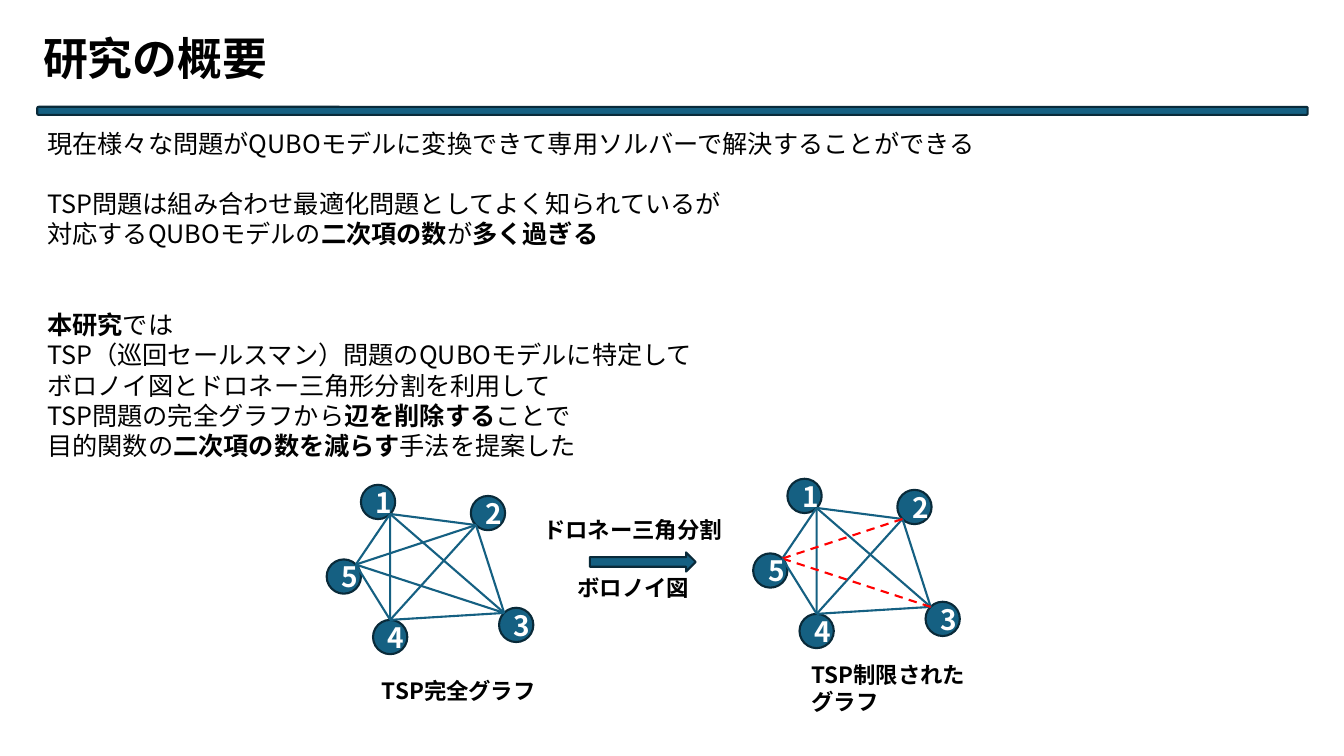
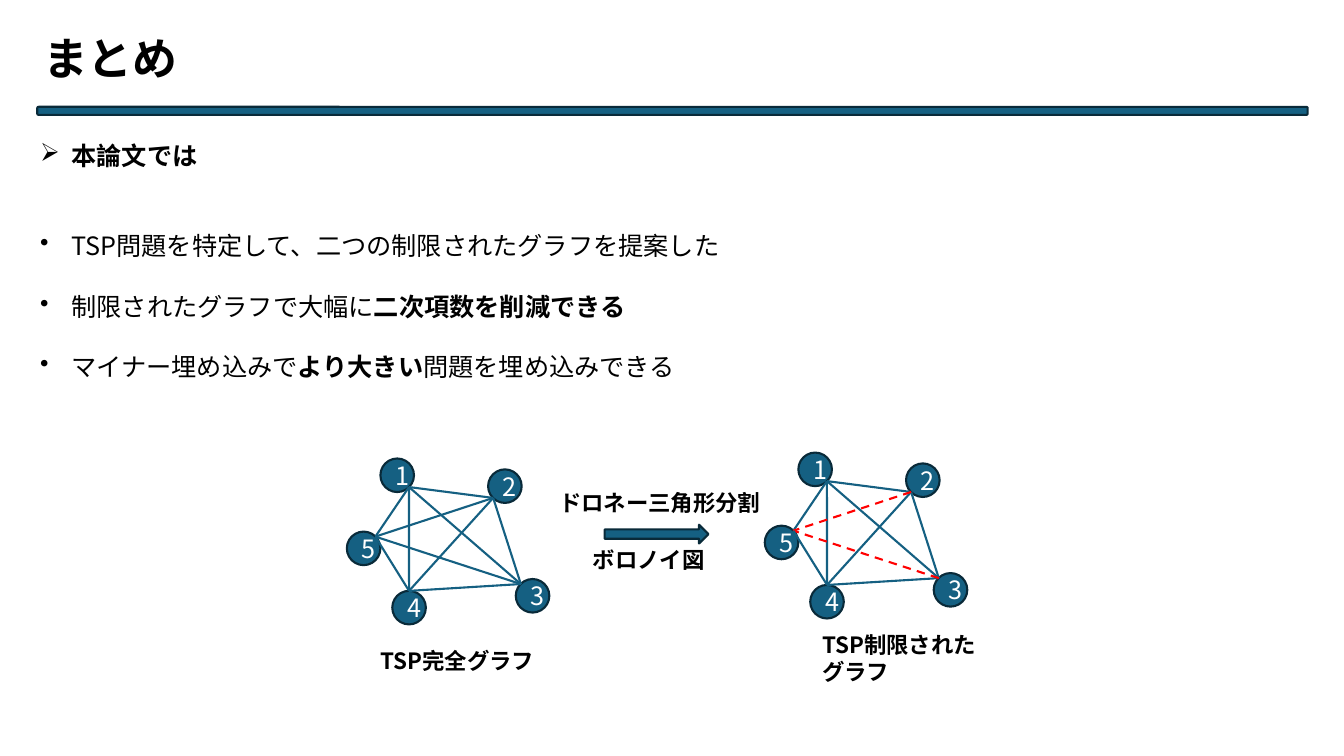
"""Builds two slides on restricting the TSP graph to shrink its QUBO model."""
from dataclasses import dataclass
from itertools import combinations

from lxml import etree
from pptx import Presentation
from pptx.dml.color import RGBColor
from pptx.enum.dml import MSO_LINE_DASH_STYLE as DASH
from pptx.enum.shapes import MSO_CONNECTOR as CONN, MSO_SHAPE as SHAPE
from pptx.enum.text import PP_ALIGN as ALIGN
from pptx.oxml.ns import qn
from pptx.util import Inches, Pt


@dataclass(frozen=True)
class Theme:
    font: str = "Noto Sans CJK SC"
    ink: str = "000000"
    white: str = "FFFFFF"
    fill: str = "156082"
    edge: str = "092A39"
    removed: str = "FF0000"
    title: int = 32
    body: int = 18
    label: int = 16
    stroke: float = 1.5
    leading: float = 1.2


DIAMETER = 0.34
NODES = {
    1: (0.34, 0),
    2: (1.43, 0.11),
    3: (1.71, 1.22),
    4: (0.46, 1.34),
    5: (0, 0.74),
}
ANCHORS = {
    1: (0.85, 0.85),
    2: (0.15, 0.85),
    3: (0.15, 0.15),
    4: (0.5, 0),
    5: (0.85, 0.15),
}
REMOVED_EDGES = {(2, 5), (3, 5)}


class Deck:
    def __init__(self, theme):
        self.t = theme
        self.prs = Presentation()
        self.prs.slide_width = Inches(13.33)
        self.prs.slide_height = Inches(7.5)
        self.shapes = None

    def slide(self, title):
        s = self.prs.slides.add_slide(self.prs.slide_layouts[6])
        self.shapes = s.shapes
        self.text(0.33, 0.26, 5.34, 0.64, [(f"*{title}*", 0, None)], self.t.title)
        self.shape(SHAPE.ROUNDED_RECTANGLE, 0.37, 1.06, 12.6, 0.08)

    def style(self, r, size, color, bold):
        r.font.size = Pt(size)
        r.font.bold = bold
        r.font.color.rgb = RGBColor.from_string(color)
        r.font.name = self.t.font
        etree.SubElement(r.font._element, qn("a:ea")).set("typeface", self.t.font)

    def text(self, x, y, w, h, paragraphs, size):
        """Adds (text, blank lines before, bullet) paragraphs; asterisks mark bold."""
        sp = self.shapes.add_textbox(Inches(x), Inches(y), Inches(w), Inches(h))
        tf = sp.text_frame
        tf.word_wrap = True
        line = size * self.t.leading
        for i, (content, gap, bullet) in enumerate(paragraphs):
            p = tf.add_paragraph() if i else tf.paragraphs[0]
            if bullet:
                pPr = p._p.get_or_add_pPr()
                pPr.set("marL", str(Inches(0.31)))
                pPr.set("indent", str(-Inches(0.31)))
                etree.SubElement(pPr, qn("a:buChar")).set("char", bullet)
            p.line_spacing = Pt(line)
            if gap:
                p.space_before = Pt(line * gap)
            for j, part in enumerate(content.split("*")):
                if part:
                    r = p.add_run()
                    r.text = part
                    self.style(r, size, self.t.ink, j % 2 == 1)

    def shape(self, kind, x, y, w, h):
        sp = self.shapes.add_shape(kind, Inches(x), Inches(y), Inches(w), Inches(h))
        sp.shadow.inherit = False
        sp.fill.solid()
        sp.fill.fore_color.rgb = RGBColor.from_string(self.t.fill)
        sp.line.color.rgb = RGBColor.from_string(self.t.edge)
        sp.line.width = Pt(self.t.stroke)
        return sp

    def node(self, number, x, y, d, size, bold):
        sp = self.shape(SHAPE.OVAL, x, y, d, d)
        p = sp.text_frame.paragraphs[0]
        p.text = str(number)
        p.alignment = ALIGN.CENTER
        p.line_spacing = Pt(size * self.t.leading)
        self.style(p.runs[0], size, self.t.white, bold)

    def edge(self, start, end, removed):
        ends = [Inches(v) for v in (*start, *end)]
        c = self.shapes.add_connector(CONN.STRAIGHT, *ends)
        color = self.t.removed if removed else self.t.fill
        c.line.color.rgb = RGBColor.from_string(color)
        c.line.width = Pt(self.t.stroke)
        if removed:
            c.line.dash_style = DASH.DASH
        etree.SubElement(c._element.spPr, qn("a:effectLst"))

    def graph(self, x, y, scale, size, bold, removed=frozenset()):
        d = DIAMETER * scale
        corners = {n: (x + dx * scale, y + dy * scale) for n, (dx, dy) in NODES.items()}
        for n, (left, top) in corners.items():
            self.node(n, left, top, d, size, bold)
        ends = {
            n: (left + ANCHORS[n][0] * d, top + ANCHORS[n][1] * d)
            for n, (left, top) in corners.items()
        }
        for pair in combinations(NODES, 2):
            self.edge(ends[pair[0]], ends[pair[1]], pair in removed)

    def figure(self, x, y, scale, size, bold, method, caption_x):
        """Draws the full graph, the arrow and the restricted graph as one group."""
        self.shapes = self.shapes.add_group_shape().shapes

        def at(dx, dy):
            return x + dx * scale, y + dy * scale

        self.graph(*at(0, 0.06), scale, size, bold)
        self.graph(*at(4.23, 0), scale, size, bold, REMOVED_EDGES)
        self.shape(SHAPE.RIGHT_ARROW, *at(2.61, 0.73), 1.05 * scale, 0.19 * scale)
        labels = [
            (at(2.05, 0.32), 2.5, [method]),
            (at(2.39, 0.9), 1.67, ["ボロノイ図"]),
            (at(caption_x, 1.92), 2.14, ["TSP完全グラフ"]),
            (at(4.71, 1.76), 2.14, ["TSP制限された", "グラフ"]),
        ]
        for spot, width, lines in labels:
            paragraphs = [(f"*{line}*", 0, None) for line in lines]
            height = 0.14 + 0.33 * len(lines)
            self.text(*spot, width, height, paragraphs, self.t.label)


def main():
    deck = Deck(Theme())

    deck.slide("研究の概要")
    deck.text(0.37, 1.22, 9.48, 3.43, [
        ("現在様々な問題がQUBOモデルに変換できて専用ソルバーで解決することができる", 0, None),
        ("TSP問題は組み合わせ最適化問題としてよく知られているが", 1, None),
        ("対応するQUBOモデルの*二次項の数*が*多く過ぎる*", 0, None),
        ("*本研究*では", 2, None),
        ("TSP（巡回セールスマン）問題のQUBOモデルに特定して", 0, None),
        ("ボロノイ図とドロネー三角形分割を利用して", 0, None),
        ("TSP問題の完全グラフから*辺を削除する*ことで", 0, None),
        ("目的関数の*二次項の数を減らす*手法を提案した", 0, None),
    ], deck.t.body)
    deck.figure(3.24, 4.75, 1, 20, True, "ドロネー三角分割", 0.45)

    deck.slide("まとめ")
    deck.text(0.3, 1.34, 11.65, 2.52, [
        ("*本論文では*", 0, "➢"),
        ("TSP問題を特定して、二つの制限されたグラフを提案した", 2, "•"),
        ("制限されたグラフで大幅に*二次項数を削減できる*", 1, "•"),
        ("マイナー埋め込みで*より大きい*問題を埋め込みできる", 1, "•"),
    ], deck.t.body)
    deck.figure(3.44, 4.49, 0.98, 18, False, "ドロネー三角形分割", 0.24)

    deck.prs.save("out.pptx")


if __name__ == "__main__":
    main()
